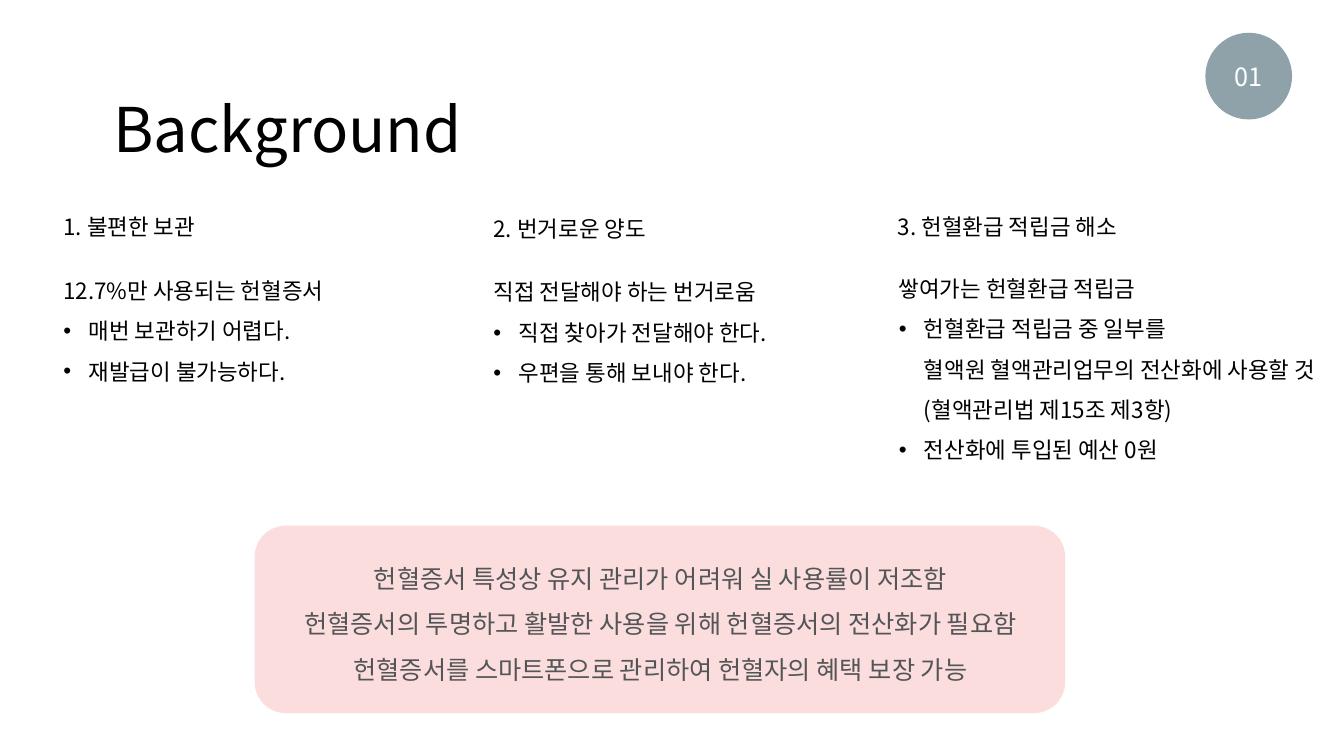
from lxml import etree
from pptx import Presentation
from pptx.dml.color import RGBColor
from pptx.enum.shapes import MSO_SHAPE
from pptx.enum.text import MSO_ANCHOR, MSO_AUTO_SIZE, PP_ALIGN
from pptx.oxml.ns import qn
from pptx.util import Inches, Pt

FONT = "Noto Sans CJK KR"
BLACK = RGBColor(0x00, 0x00, 0x00)
WHITE = RGBColor(0xFF, 0xFF, 0xFF)
SLATE = RGBColor(0x8F, 0xA2, 0xAA)
PINK = RGBColor(0xFB, 0xDD, 0xDD)
GRAY = RGBColor(0x54, 0x55, 0x57)

ELLIPSE = MSO_SHAPE.OVAL
ROUNDED = MSO_SHAPE.ROUNDED_RECTANGLE
MIDDLE = MSO_ANCHOR.MIDDLE
FIT_SHAPE = MSO_AUTO_SIZE.SHAPE_TO_FIT_TEXT
NO_FIT = MSO_AUTO_SIZE.NONE
LEFT = PP_ALIGN.LEFT
CENTER = PP_ALIGN.CENTER

COLUMNS = [
    ("1. 불편한 보관", (1.16, 3.92, 5.97, 0.82),
     "12.7%만 사용되는 헌혈증서",
     ["매번 보관하기 어렵다.", "재발급이 불가능하다."],
     (1.16, 5.18, 7.92, 2.44)),
    ("2. 번거로운 양도", (9.69, 3.95, 5.39, 0.82),
     "직접 전달해야 하는 번거로움",
     ["직접 찾아가 전달해야 한다.", "우편을 통해 보내야 한다."],
     (9.69, 5.21, 7.44, 2.44)),
    ("3. 헌혈환급 적립금 해소", (17.71, 3.92, 5.04, 0.82),
     "쌓여가는 헌혈환급 적립금",
     ["헌혈환급 적립금 중 일부를\n혈액원 혈액관리업무의 전산화에 사용할 것 (혈액관리법 제15조 제3항)",
      "전산화에 투입된 예산 0원"],
     (17.73, 5.14, 8.93, 4.05)),
]
SUMMARY = [
    "헌혈증서 특성상 유지 관리가 어려워 실 사용률이 저조함",
    "헌혈증서의 투명하고 활발한 사용을 위해 헌혈증서의 전산화가 필요함",
    "헌혈증서를 스마트폰으로 관리하여 헌혈자의 혜택 보장 가능",
]


def format_paragraph(paragraph, size, color, align=LEFT):
    paragraph.alignment = align
    font = paragraph.font
    font.size = Pt(size)
    font.color.rgb = color
    font.name = FONT
    defaults = paragraph._p.pPr.find(qn("a:defRPr"))
    etree.SubElement(defaults, qn("a:ea"), typeface=FONT)


def add_bullet(paragraph):
    properties = paragraph._p.get_or_add_pPr()
    properties.set("marL", str(Inches(0.5)))
    properties.set("indent", str(Inches(-0.5)))
    etree.SubElement(properties, qn("a:buFont"), typeface="Arial")
    etree.SubElement(properties, qn("a:buChar"), char="•")


def add_text(slide, box, lines, size, color, align=LEFT, first_bullet=None):
    shape = slide.shapes.add_textbox(*map(Inches, box))
    frame = shape.text_frame
    frame.word_wrap = True
    frame.auto_size = FIT_SHAPE
    for index, line in enumerate(lines):
        paragraph = frame.add_paragraph() if index else frame.paragraphs[0]
        paragraph.text = line
        paragraph.line_spacing = 1.5
        if first_bullet is not None and index >= first_bullet:
            add_bullet(paragraph)
        format_paragraph(paragraph, size, color, align)


def add_panel(slide, kind, box, color):
    shape = slide.shapes.add_shape(kind, *map(Inches, box))
    shape.shadow.inherit = False
    shape.fill.solid()
    shape.fill.fore_color.rgb = color
    shape.line.fill.background()
    return shape


def add_page_badge(slide, number):
    badge = add_panel(slide, ELLIPSE, (23.91, 0.65, 1.72, 1.72), SLATE)
    badge.text_frame.vertical_anchor = MIDDLE
    paragraph = badge.text_frame.paragraphs[0]
    paragraph.text = number
    format_paragraph(paragraph, 36, WHITE, CENTER)


def set_title(slide, text):
    title = slide.shapes.title
    title.left, title.top = Inches(2.15), Inches(1.75)
    title.width, title.height = Inches(18.66), Inches(1.58)
    frame = title.text_frame
    frame.auto_size = NO_FIT
    frame.vertical_anchor = MIDDLE
    paragraph = frame.paragraphs[0]
    paragraph.text = text
    format_paragraph(paragraph, 88, BLACK)


def main():
    presentation = Presentation()
    presentation.slide_width = Inches(26.66)
    presentation.slide_height = Inches(15)
    slide = presentation.slides.add_slide(presentation.slide_layouts[5])

    set_title(slide, "Background")
    add_page_badge(slide, "01")
    for heading, heading_box, lead, points, body_box in COLUMNS:
        add_text(slide, heading_box, [heading], 32, BLACK)
        add_text(slide, body_box, [lead, *points], 32, BLACK, first_bullet=1)
    add_panel(slide, ROUNDED, (5.05, 10.43, 16.08, 3.72), PINK)
    add_text(slide, (5.24, 10.83, 15.72, 2.73), SUMMARY, 36, GRAY, CENTER)

    presentation.save("out.pptx")


if __name__ == "__main__":
    main()
